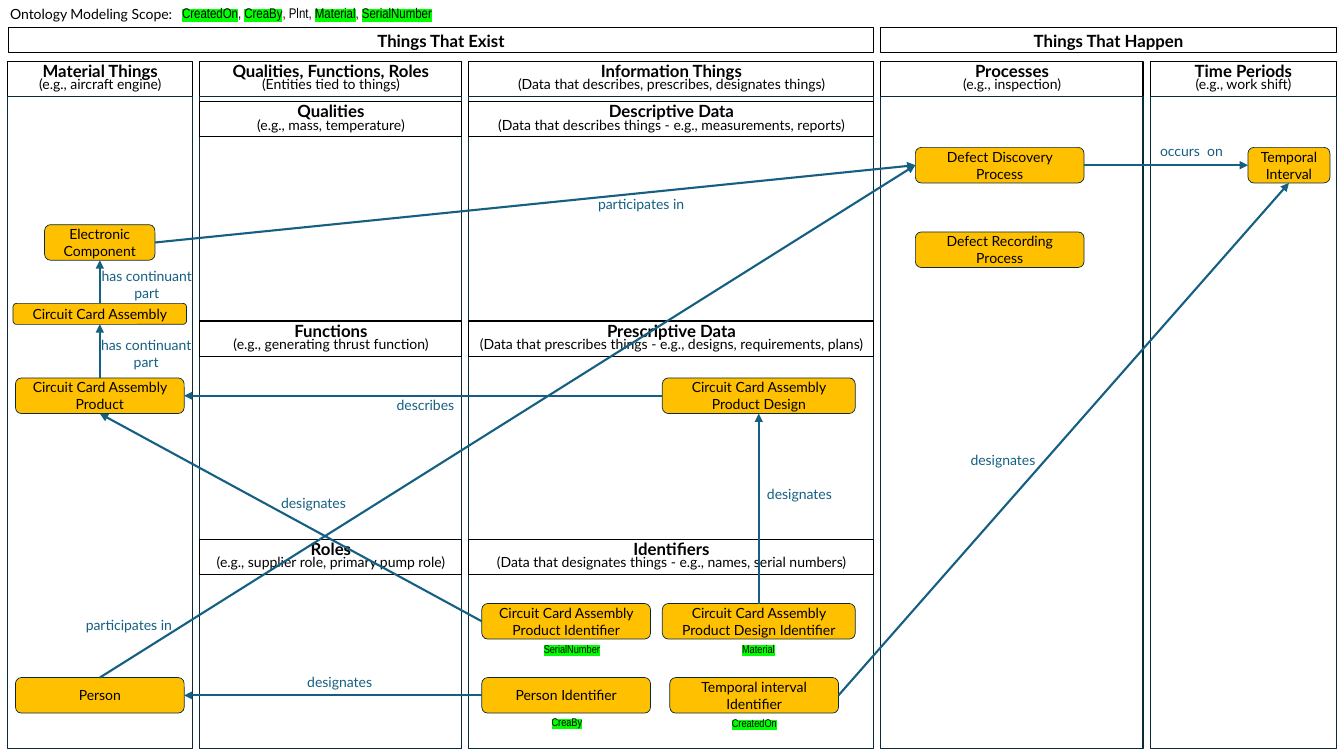
import dataclasses

import pptx
import pptx.dml.color
import pptx.enum.shapes
import pptx.enum.text
import pptx.oxml
import pptx.oxml.ns
import pptx.util

Pt = pptx.util.Pt
Shape = pptx.enum.shapes.MSO_SHAPE
Align = pptx.enum.text.PP_ALIGN
Anchor = pptx.enum.text.MSO_ANCHOR
Fit = pptx.enum.text.MSO_AUTO_SIZE
NS = pptx.oxml.ns.nsdecls("a")
TOP, LEFT, BOTTOM, RIGHT = range(4)


@dataclasses.dataclass(frozen=True)
class Theme:
    ink: str = "000000"
    edge: str = "092A39"
    link: str = "156082"
    node: str = "FFC000"
    mark: str = "00FF00"
    font: str = "Lato"
    narrow: str = "Arial Narrow"
    head: int = 12
    body: int = 10
    tag: int = 8


def rgb(code):
    return pptx.dml.color.RGBColor.from_string(code)


class Board:
    """Draws the parts of an ontology map on one slide."""

    def __init__(self, slide, theme):
        self.slide = slide
        self.theme = theme

    def style(self, par, size, color=None, face=None, align=Align.CENTER):
        par.alignment = align
        par.font.size = Pt(size)
        par.font.name = face or self.theme.font
        par.font.color.rgb = rgb(color or self.theme.ink)

    def title(self, text, x, y, w, h):
        box = self.slide.shapes.title
        box.left, box.top, box.width, box.height = map(Pt, (x, y, w, h))
        frame = box.text_frame
        frame.auto_size = Fit.NONE
        frame.vertical_anchor = Anchor.TOP
        frame.text = text
        par = frame.paragraphs[0]
        par.line_spacing = 1.0
        self.style(par, self.theme.body, align=Align.LEFT)

    def box(self, x, y, w, h, kind=Shape.RECTANGLE, fill=None, line=None, weight=0.75):
        shape = self.slide.shapes.add_shape(kind, Pt(x), Pt(y), Pt(w), Pt(h))
        shape.shadow.inherit = False
        if fill:
            shape.fill.solid()
            shape.fill.fore_color.rgb = rgb(fill)
        else:
            shape.fill.background()
        shape.line.color.rgb = rgb(line or self.theme.ink)
        shape.line.width = Pt(weight)
        return shape

    def header(self, x, y, w, h, name, note=None, inset=7.2):
        frame = self.box(x, y, w, h).text_frame
        frame.vertical_anchor = Anchor.TOP
        frame.margin_left = frame.margin_right = Pt(inset)
        par = frame.paragraphs[0]
        par.line_spacing = 0.7 if note else 0.9
        self.style(par, self.theme.head)
        run = par.add_run()
        run.text = name
        run.font.bold = True
        if note:
            par.add_line_break()
            run = par.add_run()
            run.text = f"({note})"
            run.font.size = Pt(self.theme.body)

    def node(self, mid, y, w, text, h=25.4):
        shape = self.box(mid - w / 2, y, w, h, Shape.ROUNDED_RECTANGLE,
                         self.theme.node, self.theme.edge, 0.5)
        frame = shape.text_frame
        frame.vertical_anchor = Anchor.MIDDLE
        frame.text = text
        self.style(frame.paragraphs[0], self.theme.body)
        return shape

    def arrow(self, start, out, end, into):
        line = self.slide.shapes.add_connector(
            pptx.enum.shapes.MSO_CONNECTOR.STRAIGHT, 0, 0, 0, 0)
        line.begin_connect(start, out)
        line.end_connect(end, into)
        line.line.color.rgb = rgb(self.theme.link)
        line.line.width = Pt(1.5)
        line.line._get_or_add_ln().append(
            pptx.oxml.parse_xml(f'<a:tailEnd {NS} type="triangle"/>'))
        line._element.spPr.append(pptx.oxml.parse_xml(f"<a:effectLst {NS}/>"))

    def text(self, x, y, w, h):
        """Adds an empty wrapping box and returns its paragraph."""
        frame = self.slide.shapes.add_textbox(Pt(x), Pt(y), Pt(w), Pt(h)).text_frame
        frame.word_wrap = True
        frame.auto_size = Fit.SHAPE_TO_FIT_TEXT
        return frame.paragraphs[0]

    def label(self, mid, y, text, w=65, h=19.4):
        par = self.text(mid - w / 2, y, w, h)
        par.text = text
        self.style(par, self.theme.body, self.theme.link)

    def marked(self, par, text):
        run = par.add_run()
        run.text = text
        run._r.get_or_add_rPr().append(pptx.oxml.parse_xml(
            f'<a:highlight {NS}><a:srgbClr val="{self.theme.mark}"/></a:highlight>'))

    def tag(self, mid, y, text, w=91.4):
        par = self.text(mid - w / 2, y, w, 17)
        self.style(par, self.theme.tag, face=self.theme.narrow)
        self.marked(par, text)

    def scope(self, x, y, w, h, parts):
        """Lists the fields; those flagged are highlighted."""
        par = self.text(x, y, w, h)
        self.style(par, self.theme.body, face=self.theme.narrow, align=Align.LEFT)
        for i, (name, used) in enumerate(parts):
            if i:
                par.add_run().text = ", "
            if used:
                self.marked(par, name)
            else:
                par.add_run().text = name


COLUMNS = [
    (5.6, 132, "Material Things", "e.g., aircraft engine"),
    (142.8, 187.2, "Qualities, Functions, Roles", "Entities tied to things"),
    (334.9, 289.4, "Information Things", "Data that describes, prescribes, designates things"),
    (629.3, 187.2, "Processes", "e.g., inspection"),
    (822, 132.5, "Time Periods", "e.g., work shift"),
]
BANDS = [
    (72.6, ("Qualities", "e.g., mass, temperature"),
     ("Descriptive Data", "Data that describes things - e.g., measurements, reports")),
    (229.3, ("Functions", "e.g., generating thrust function"),
     ("Prescriptive Data", "Data that prescribes things - e.g., designs, requirements, plans")),
    (385.3, ("Roles", "e.g., supplier role, primary pump role"),
     ("Identifiers", "Data that designates things - e.g., names, serial numbers")),
]
NODES = {
    "product": (71.3, 270, 120.5, "Circuit Card Assembly Product"),
    "product id": (404.4, 431.1, 120.5, "Circuit Card Assembly Product Identifier"),
    "design id": (542, 431.1, 137.8, "Circuit Card Assembly Product Design Identifier"),
    "design": (542, 270, 137.8, "Circuit Card Assembly Product Design"),
    "finding": (714.1, 105.3, 120.5, "Defect Discovery Process"),
    "interval": (920.7, 105.3, 58.6, "Temporal Interval"),
    "assembly": (71.3, 216.7, 124, "Circuit Card Assembly", 15),
    "part": (71.3, 160.5, 78.8, "Electronic Component"),
    "person id": (404.4, 484, 120.5, "Person Identifier"),
    "person": (71.3, 484, 120.5, "Person"),
    "interval id": (538.7, 484, 120.5, "Temporal interval Identifier"),
    "report": (714.1, 165.7, 120.5, "Defect Recording Process"),
}
ARROWS = [
    ("product id", LEFT, "product", BOTTOM),
    ("design", LEFT, "product", RIGHT),
    ("design id", TOP, "design", BOTTOM),
    ("finding", RIGHT, "interval", LEFT),
    ("product", TOP, "assembly", BOTTOM),
    ("assembly", TOP, "part", BOTTOM),
    ("part", RIGHT, "finding", LEFT),
    ("person", TOP, "finding", LEFT),
    ("person id", LEFT, "person", RIGHT),
    ("interval id", RIGHT, "interval", BOTTOM),
]
LABELS = [
    (223.9, 350, "designates"), (303.9, 279.6, "describes"),
    (571, 343.4, "designates"), (851, 98.6, "occurs  on"),
    (104.4, 236.9, "has continuant part", 80, 31.5),
    (104.8, 187.3, "has continuant part", 80, 31.5),
    (457.9, 136, "participates in", 82), (92, 437, "participates in", 82),
    (242.6, 477.5, "designates"), (716.4, 319, "designates"),
]
TAGS = [
    (408.6, 455, "SerialNumber"), (541.8, 455, "Material"),
    (538.9, 508.3, "CreatedOn"), (405, 507.6, "CreaBy"),
]
SCOPE = [("CreatedOn", True), ("CreaBy", True), ("Plnt", False),
         ("Material", True), ("SerialNumber", True)]


def main():
    deck = pptx.Presentation()
    deck.slide_width, deck.slide_height = Pt(960), Pt(540)
    board = Board(deck.slides.add_slide(deck.slide_layouts[5]), Theme())

    board.title("Ontology Modeling Scope:", 0, 0, 132, 19.4)
    board.scope(123, 0, 480, 19.4, SCOPE)
    board.header(5.8, 19.8, 618.5, 18, "Things That Exist")
    board.header(629.3, 19.8, 325.2, 18, "Things That Happen")
    for x, w, name, note in COLUMNS:
        board.header(x, 43.9, w, 25, name, note)
        board.box(x, 68.9, w, 465.6, line=board.theme.edge)
    for y, *cells in BANDS:
        for (x, w, *_), (name, note) in zip(COLUMNS[1:3], cells):
            inset = 0 if name == "Prescriptive Data" else 7.2
            board.header(x, y, w, 25.2, name, note, inset)

    nodes = {key: board.node(*spec) for key, spec in NODES.items()}
    for start, out, end, into in ARROWS:
        board.arrow(nodes[start], out, nodes[end], into)
    for label in LABELS:
        board.label(*label)
    for tag in TAGS:
        board.tag(*tag)
    deck.save("out.pptx")


if __name__ == "__main__":
    main()
